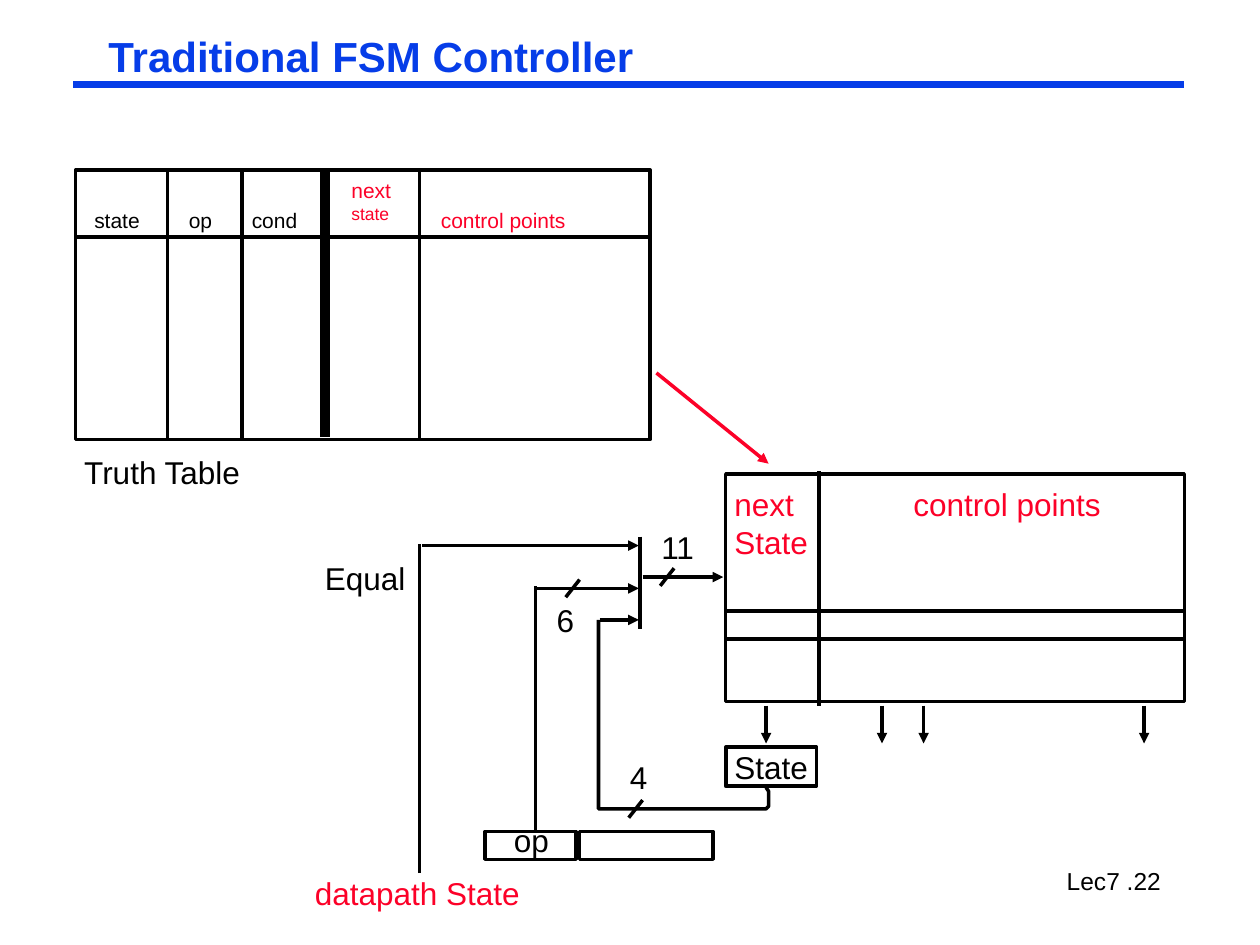
from lxml.etree import SubElement
from pptx import Presentation
from pptx.dml.color import RGBColor
from pptx.enum.shapes import MSO_CONNECTOR, MSO_SHAPE
from pptx.enum.text import MSO_ANCHOR, MSO_AUTO_SIZE, PP_ALIGN
from pptx.oxml.ns import qn
from pptx.util import Inches, Pt

COLORS = {"black": "000000", "red": "FC0128", "blue": "063DE8"}


def add_line(x1, y1, x2, y2, color="black", width=2, arrow=False):
    connector = slide.shapes.add_connector(
        MSO_CONNECTOR.STRAIGHT, Inches(x1), Inches(y1), Inches(x2), Inches(y2))
    connector.line.color.rgb = RGBColor.from_string(COLORS[color])
    connector.line.width = Pt(width)
    if arrow:
        SubElement(connector.line._get_or_add_ln(), qn("a:tailEnd"), type="triangle")
    SubElement(connector._element.spPr, qn("a:effectLst"))


def write_text(shape, lines, color="black", margins=(0.1, 0.05), **paragraph_format):
    """Fill a shape with (text, size) lines, one paragraph each."""
    frame = shape.text_frame
    side, edge = (Inches(margin) for margin in margins)
    frame_format = {
        "margin_left": side, "margin_right": side,
        "margin_top": edge, "margin_bottom": edge,
        "word_wrap": False, "auto_size": MSO_AUTO_SIZE.NONE,
        "vertical_anchor": MSO_ANCHOR.TOP,
    }
    for name, value in frame_format.items():
        setattr(frame, name, value)
    for index, (text, size) in enumerate(lines):
        paragraph = frame.add_paragraph() if index else frame.paragraphs[0]
        for name, value in ({"alignment": PP_ALIGN.LEFT} | paragraph_format).items():
            setattr(paragraph, name, value)
        run = paragraph.add_run()
        run.text = text
        run.font.name = "Arial"
        run.font.size = Pt(size)
        run.font.color.rgb = RGBColor.from_string(COLORS[color])


presentation = Presentation()
presentation.slide_width, presentation.slide_height = Inches(10), Inches(7.5)
slide = presentation.slides.add_slide(presentation.slide_layouts[5])

# Title, rule and page number
title = slide.shapes.title
title.left, title.top = Inches(0.79), Inches(0.27)
title.width, title.height = Inches(4.32), Inches(0.75)
write_text(title, [("Traditional FSM Controller", 24)], "blue", (0.07, 0.03),
           line_spacing=0.87)
title.text_frame.paragraphs[0].runs[0].font.bold = True
add_line(0.58, 0.67, 9.4, 0.67, "blue", 3.75)
page_number = slide.shapes.add_textbox(
    Inches(7.8), Inches(6.84), Inches(2.08), Inches(0.29))
write_text(page_number, [("Lec7 .22", 14)], "black", (0.07, 0.03),
           alignment=PP_ALIGN.CENTER)

# Boxes
boxes = [
    (0.6, 1.35, 4.56, 2.14),   # truth table
    (5.76, 3.76, 3.64, 1.81),  # control memory
    (5.76, 4.85, 3.64, 0.22),  # selected memory word
    (5.76, 5.93, 0.72, 0.31),  # state register
    (3.85, 6.6, 0.72, 0.22),   # opcode field
    (4.6, 6.6, 1.06, 0.22),    # rest of the instruction
]
for box in boxes:
    rectangle = slide.shapes.add_shape(MSO_SHAPE.RECTANGLE, *map(Inches, box))
    rectangle.shadow.inherit = False
    rectangle.fill.background()
    rectangle.line.color.rgb = RGBColor.from_string(COLORS["black"])
    rectangle.line.width = Pt(2)

# Truth table rules
for x in (1.33, 1.92, 3.33):
    add_line(x, 1.35, x, 3.49)
add_line(2.58, 1.36, 2.58, 3.47, width=6)
add_line(0.6, 1.88, 5.16, 1.88)

# Memory column rule, address bar and input wires
for wire in [(6.5, 5.6, 6.5, 3.74), (5.08, 4.26, 5.08, 4.99),
             (4.25, 6.6, 4.25, 4.65), (3.33, 6.93, 3.33, 4.32)]:
    add_line(*wire)

# Arrows into the address bar, into the memory and out of it
for x1, x2, y in [(3.35, 5.07, 4.33), (4.26, 5.07, 4.67),
                  (4.76, 5.07, 4.92), (5.1, 5.74, 4.58)]:
    add_line(x1, y, x2, y, arrow=True)
for x in (6.08, 7, 7.33, 9.08):
    add_line(x, 5.6, x, 5.9, arrow=True)
add_line(5.21, 2.96, 6.1, 3.68, "red", arrow=True)

# Bus width ticks
for x, y in [(4.6, 4.6), (5.1, 6.35), (5.35, 4.51)]:
    add_line(x, y, x - 0.11, y + 0.14)

# Feedback from the state register
builder = slide.shapes.build_freeform(Inches(6.08), Inches(6.25), scale=1)
feedback_points = [(6.1, 6.28), (6.1, 6.4), (6.08, 6.42), (4.75, 6.42), (4.75, 4.92)]
builder.add_line_segments(
    [(Inches(x), Inches(y)) for x, y in feedback_points], close=False)
feedback = builder.convert_to_shape()
feedback.shadow.inherit = False
feedback.fill.background()
feedback.line.color.rgb = RGBColor.from_string(COLORS["black"])
feedback.line.width = Pt(2)

# Labels: left, top, width, height, color, lines
labels = [
    (0.65, 1.6, 0.56, 0.3, "black", [("state", 12)]),
    (1.4, 1.6, 0.38, 0.3, "black", [("op", 12)]),
    (1.9, 1.6, 0.56, 0.3, "black", [("cond", 12)]),
    (2.69, 1.36, 0.51, 0.46, "red", [("next", 12), ("state", 10)]),
    (3.4, 1.6, 1.19, 0.3, "red", [("control points", 12)]),
    (0.57, 3.55, 1.48, 0.4, "black", [("Truth Table", 18)]),
    (5.73, 3.8, 0.78, 0.7, "red", [("next", 18), ("State", 18)]),
    (7.15, 3.8, 1.69, 0.4, "red", [("control points", 18)]),
    (5.73, 5.89, 0.78, 0.4, "black", [("State", 18)]),
    (2.48, 4.39, 0.84, 0.4, "black", [("Equal", 18)]),
    (5.15, 4.14, 0.48, 0.4, "black", [("11", 18)]),
    (4.32, 4.72, 0.34, 0.4, "black", [("6", 18)]),
    (4.9, 5.97, 0.34, 0.4, "black", [("4", 18)]),
    (3.98, 6.47, 0.48, 0.4, "black", [("op", 18)]),
    (2.4, 6.89, 1.82, 0.4, "red", [("datapath State", 18)]),
]
for left, top, width, height, color, lines in labels:
    label = slide.shapes.add_textbox(
        Inches(left), Inches(top), Inches(width), Inches(height))
    write_text(label, lines, color)

presentation.save("out.pptx")
